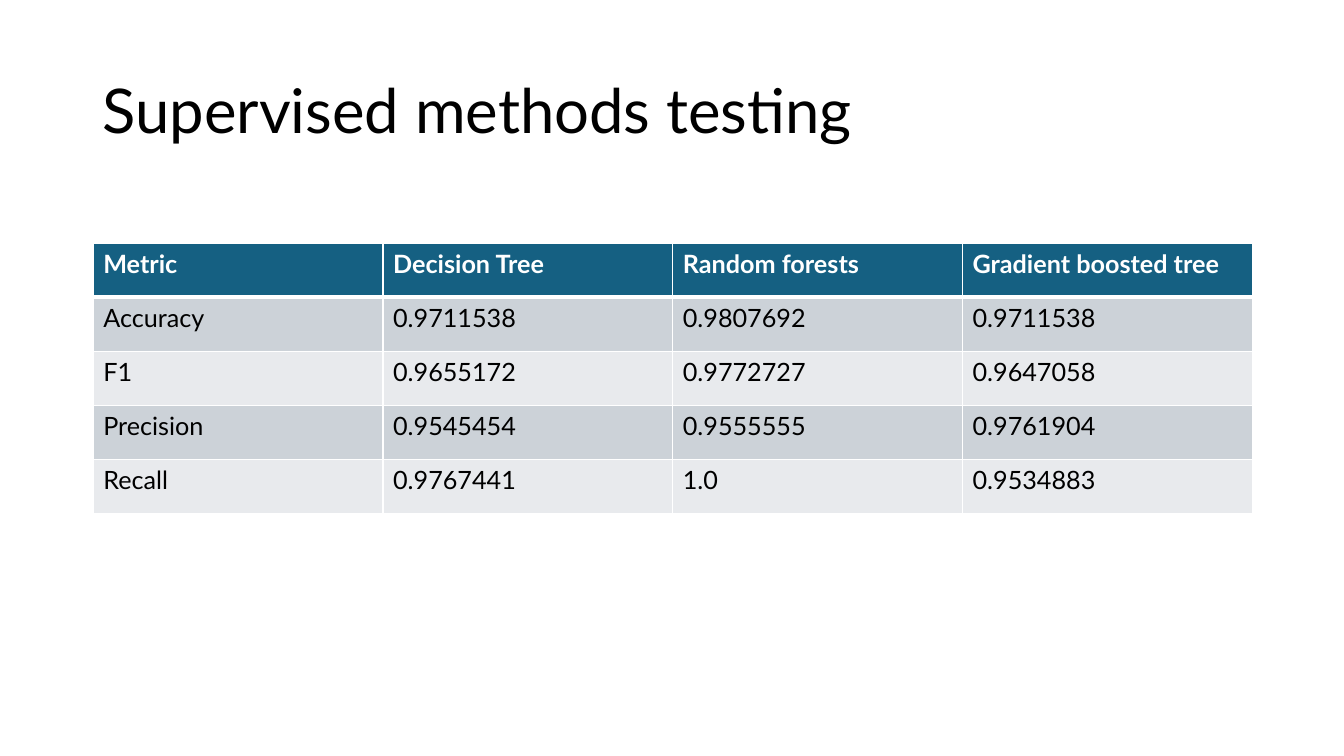
import pptx
import pptx.dml.color
import pptx.enum.text
import pptx.oxml
import pptx.oxml.ns
import pptx.util

Cm = pptx.util.Cm
Pt = pptx.util.Pt


def color(value):
    return pptx.dml.color.RGBColor.from_string(value)


def add_border(cell, side, points):
    cell.fill._xPr.append(pptx.oxml.parse_xml(
        f'<a:{side} {pptx.oxml.ns.nsdecls("a")} w="{Pt(points)}">'
        '<a:solidFill><a:srgbClr val="FFFFFF"/></a:solidFill>'
        f'</a:{side}>'))


deck = pptx.Presentation()
deck.slide_width = Cm(33.87)
deck.slide_height = Cm(19.05)
page = deck.slides.add_slide(deck.slide_layouts[5])

title = page.shapes.title
title.left, title.top, title.width, title.height = Cm(2.33), Cm(1.01), Cm(29.21), Cm(3.68)
title.text_frame.text = "Supervised methods testing"
title.text_frame.vertical_anchor = pptx.enum.text.MSO_ANCHOR.MIDDLE
para = title.text_frame.paragraphs[0]
para.alignment = pptx.enum.text.PP_ALIGN.LEFT
para.line_spacing = 0.9
para.font.name = "Lato"
para.font.size = Pt(44)
para.font.color.rgb = color("000000")

results = [
    ["Metric", "Decision Tree", "Random forests", "Gradient boosted tree"],
    ["Accuracy", "0.9711538", "0.9807692", "0.9711538"],
    ["F1", "0.9655172", "0.9772727", "0.9647058"],
    ["Precision", "0.9545454", "0.9555555", "0.9761904"],
    ["Recall", "0.9767441", "1.0", "0.9534883"],
]
table = page.shapes.add_table(
    len(results), len(results[0]), Cm(2.35), Cm(6.13), Cm(29.21), Cm(6.8)).table

for row, values in enumerate(results):
    header = row == 0
    if header:
        fill = "156082"
    else:
        fill = "CCD2D8" if row % 2 else "E8EAED"
    for column, value in enumerate(values):
        cell = table.cell(row, column)
        cell.text = value
        para = cell.text_frame.paragraphs[0]
        para.font.name = "Lato"
        para.font.size = Pt(18)
        para.font.bold = header
        para.font.color.rgb = color("FFFFFF" if header else "000000")
        add_border(cell, "lnL", 1)
        add_border(cell, "lnR", 1)
        add_border(cell, "lnT", 3 if row == 1 else 1)
        add_border(cell, "lnB", 3 if header else 1)
        cell.fill.solid()
        cell.fill.fore_color.rgb = color(fill)

deck.save("out.pptx")
